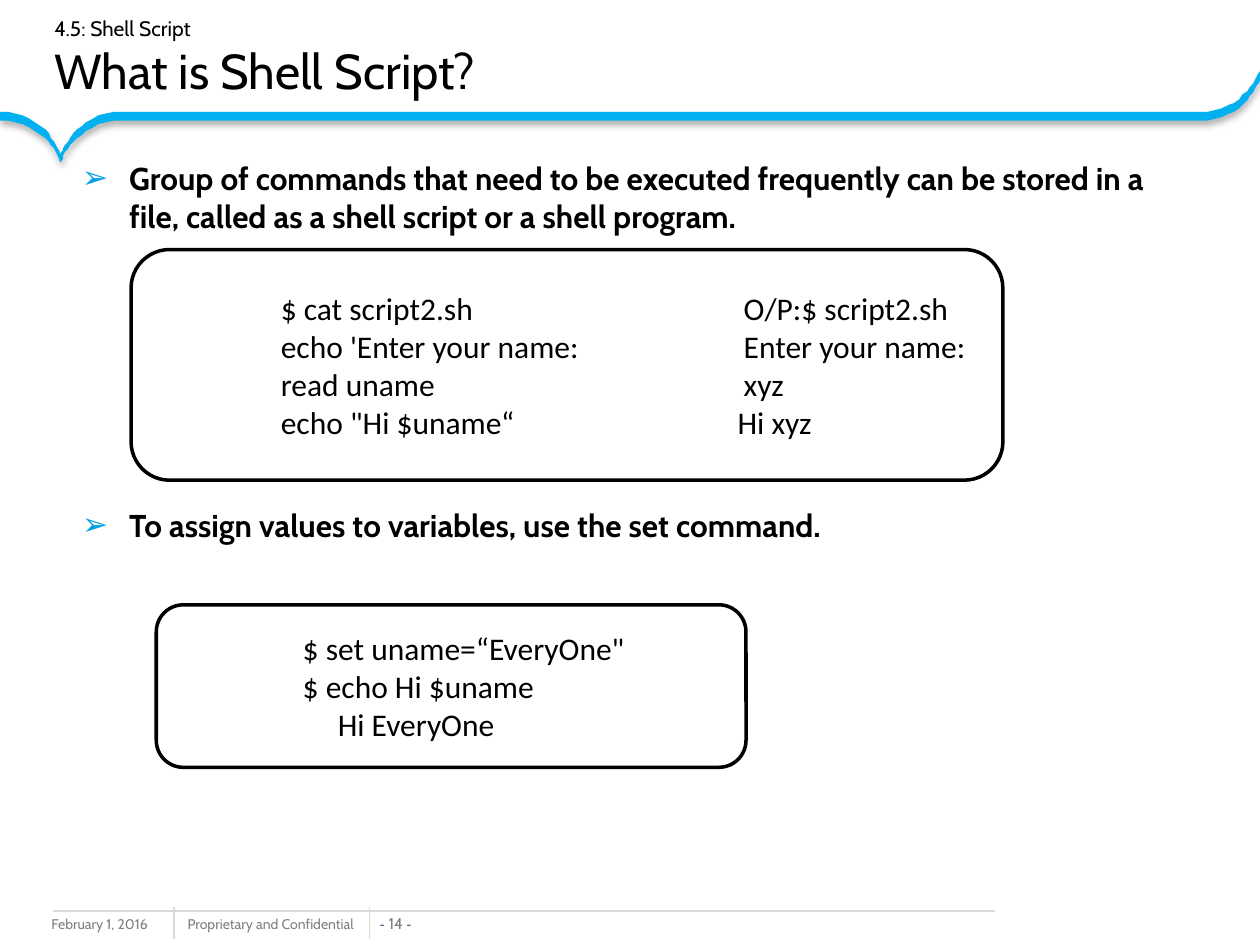
import pptx
import pptx.dml.color
import pptx.enum.shapes
import pptx.enum.text
import pptx.oxml
import pptx.oxml.ns
import pptx.util
from lxml import etree

Pt = pptx.util.Pt
ANCHOR = pptx.enum.text.MSO_ANCHOR
ALIGN = pptx.enum.text.PP_ALIGN
COLORS = {
    "black": "000000",
    "white": "FFFFFF",
    "ribbon": "00B0F0",
    "bullet": "00A1E4",
    "rule": "D9D9D9",
    "footer": "808080",
    "dash": "1F497D",
}


def rgb(name):
    return pptx.dml.color.RGBColor.from_string(COLORS[name])


def add_xml(parent, tag, **attributes):
    return etree.SubElement(parent, pptx.oxml.ns.qn(tag), attributes)


def format_run(run, size, color="black", font="Cabin", bold=False):
    run.font.size = Pt(size)
    run.font.name = font
    run.font.bold = bold
    run.font.color.rgb = rgb(color)


def place(shape, left, top, width, height):
    shape.left, shape.top = Pt(left), Pt(top)
    shape.width, shape.height = Pt(width), Pt(height)


def curve_points(start, curves, steps=16):
    """Sample a chain of cubic curves, each given as two controls and an end."""
    points = []
    for first, second, end in curves:
        for step in range(1, steps + 1):
            t = step / steps
            weights = ((1 - t) ** 3, 3 * t * (1 - t) ** 2, 3 * t * t * (1 - t), t ** 3)
            points.append(tuple(
                sum(w * p[axis] for w, p in zip(weights, (start, first, second, end)))
                for axis in (0, 1)))
        start = end
    return points


def add_ribbon(slide):
    def edge(y, dip, rise):
        start = (0, y)
        return [start] + curve_points(start, [
            ((27.4, y), (34.8, dip), (34.8, dip)),
            ((34.8, dip), (42.2, y), (69.6, y)),
            ((69.6, y), (684.6, y), (684.6, y)),
            ((712, y), (720, rise), (720, rise)),
        ])

    outline = edge(64, 88.5, 40.3) + edge(69.2, 93, 45.4)[::-1]
    builder = slide.shapes.build_freeform(*outline[0], scale=Pt(1))
    builder.add_line_segments(outline[1:], close=True)
    ribbon = builder.convert_to_shape()
    ribbon.fill.solid()
    ribbon.fill.fore_color.rgb = rgb("ribbon")
    ribbon.line.fill.background()
    ribbon.shadow.inherit = False
    effects = ribbon._element.spPr.find(pptx.oxml.ns.qn("a:effectLst"))
    shadow = add_xml(effects, "a:outerShdw", blurRad=str(Pt(4)), dist=str(Pt(2)),
                     dir="5400000", algn="t", rotWithShape="0")
    shade = add_xml(shadow, "a:srgbClr", val=COLORS["black"])
    add_xml(shade, "a:alpha", val="31000")


def add_rule(slide, x1, y1, x2, y2):
    rule = slide.shapes.add_connector(
        pptx.enum.shapes.MSO_CONNECTOR.STRAIGHT, Pt(x1), Pt(y1), Pt(x2), Pt(y2))
    rule.line.color.rgb = rgb("rule")
    rule.line.width = Pt(0.75)
    add_xml(rule._element.spPr, "a:effectLst")


def add_label(slide, text, left, width):
    label = slide.shapes.add_textbox(Pt(left), Pt(519.8), Pt(width), Pt(17.5))
    label.text_frame.word_wrap = True
    label.text_frame.text = text
    format_run(label.text_frame.paragraphs[0].runs[0], 8, "footer")


def add_page_number(slide):
    box = slide.shapes.add_textbox(Pt(216.7), Pt(522), Pt(18.7), Pt(10.8))
    frame = box.text_frame
    frame.word_wrap = False
    frame.vertical_anchor = ANCHOR.BOTTOM
    frame.margin_left = frame.margin_right = frame.margin_top = frame.margin_bottom = 0
    number = frame.paragraphs[0]
    number.alignment = ALIGN.CENTER
    for text, size, color, font in (("- ", 8, "dash", "Arial"),
                                    ("14 ", 9, "footer", "Cabin"),
                                    ("-", 8, "dash", "Arial")):
        run = number.add_run()
        run.text = text
        format_run(run, size, color, font)


def fill_title(title):
    place(title, 23.8, 1.4, 648, 62.6)
    frame = title.text_frame
    frame.auto_size = pptx.enum.text.MSO_AUTO_SIZE.NONE
    frame.vertical_anchor = ANCHOR.MIDDLE
    frame.text = "4.5: Shell Script\nWhat is Shell Script?"
    for line, size in zip(frame.paragraphs, (12, 28)):
        line.alignment = ALIGN.LEFT
        format_run(line.runs[0], size)


def fill_body(body, points):
    place(body, 39.6, 87.1, 648, 383.8)
    frame = body.text_frame
    frame.auto_size = pptx.enum.text.MSO_AUTO_SIZE.NONE
    frame.text = "\n".join(text for text, _ in points)
    for point, (_, gap) in zip(frame.paragraphs, points):
        point.space_before = Pt(gap)
        format_run(point.runs[0], 18, bold=True)
        properties = point._p.get_or_add_pPr()
        properties.set("marL", str(Pt(27)))
        properties.set("indent", str(Pt(-27)))
        add_xml(add_xml(properties, "a:buClr"), "a:srgbClr", val=COLORS["bullet"])
        add_xml(properties, "a:buFont", typeface="Arial")
        add_xml(properties, "a:buChar", char="➢")


def add_code_box(slide, left, top, width, height, lines):
    """Each line is its text, its left indent and its tab stop (0 for none)."""
    box = slide.shapes.add_shape(pptx.enum.shapes.MSO_SHAPE.ROUNDED_RECTANGLE,
                                 Pt(left), Pt(top), Pt(width), Pt(height))
    box.shadow.inherit = False
    box.fill.solid()
    box.fill.fore_color.rgb = rgb("white")
    box.line.color.rgb = rgb("black")
    box.line.width = Pt(2)
    frame = box.text_frame
    frame.word_wrap = True
    frame.vertical_anchor = ANCHOR.MIDDLE
    frame.margin_left = Pt(79.2)
    frame.text = "\n".join(text for text, _, _ in lines)
    for line, (_, indent, tab) in zip(frame.paragraphs, lines):
        line.alignment = ALIGN.LEFT
        properties = line._p.get_or_add_pPr()
        properties.set("marL", str(Pt(indent)))
        if tab:
            add_xml(add_xml(properties, "a:tabLst"), "a:tab", pos=str(Pt(tab)), algn="l")
        for run in line.runs:
            format_run(run, 18, font="Calibri")


def main():
    deck = pptx.Presentation()
    deck.slide_width, deck.slide_height = Pt(720), Pt(540)
    slide = deck.slides.add_slide(deck.slide_layouts[1])

    # Footer
    add_label(slide, "February 1, 2016", 22.3, 95.8)
    add_label(slide, "Proprietary and Confidential", 100.1, 116)
    add_page_number(slide)
    for divider in (99.4, 211):
        add_rule(slide, divider, 518.4, divider, 536.4)
    add_rule(slide, 30.2, 520.6, 568.8, 520.6)

    # Header and points
    add_ribbon(slide)
    fill_title(slide.shapes.title)
    fill_body(slide.placeholders[1], [
        ("Group of commands that need to be executed frequently can be stored in a "
         "file, called as a shell script or a shell program.", 3.6),
        ("To assign values to variables, use the set command.", 155),
    ])

    # Script samples
    add_code_box(slide, 74.9, 142.6, 498.2, 131.8, [
        ("$ cat script2.sh\tO/P:$ script2.sh", 0, 264.5),
        ("echo 'Enter your name:\tEnter your name:", 0, 264.5),
        ("read uname\txyz", 0, 264.5),
        ("echo \"Hi $uname“\tHi xyz", 0, 261),
    ])
    add_code_box(slide, 89.3, 345.6, 337, 92.9, [
        ("$ set uname=“EveryOne\"", 0, 0),
        ("$ echo Hi $uname", 0, 0),
        ("Hi EveryOne", 20, 0),
    ])
    deck.save("out.pptx")


main()
